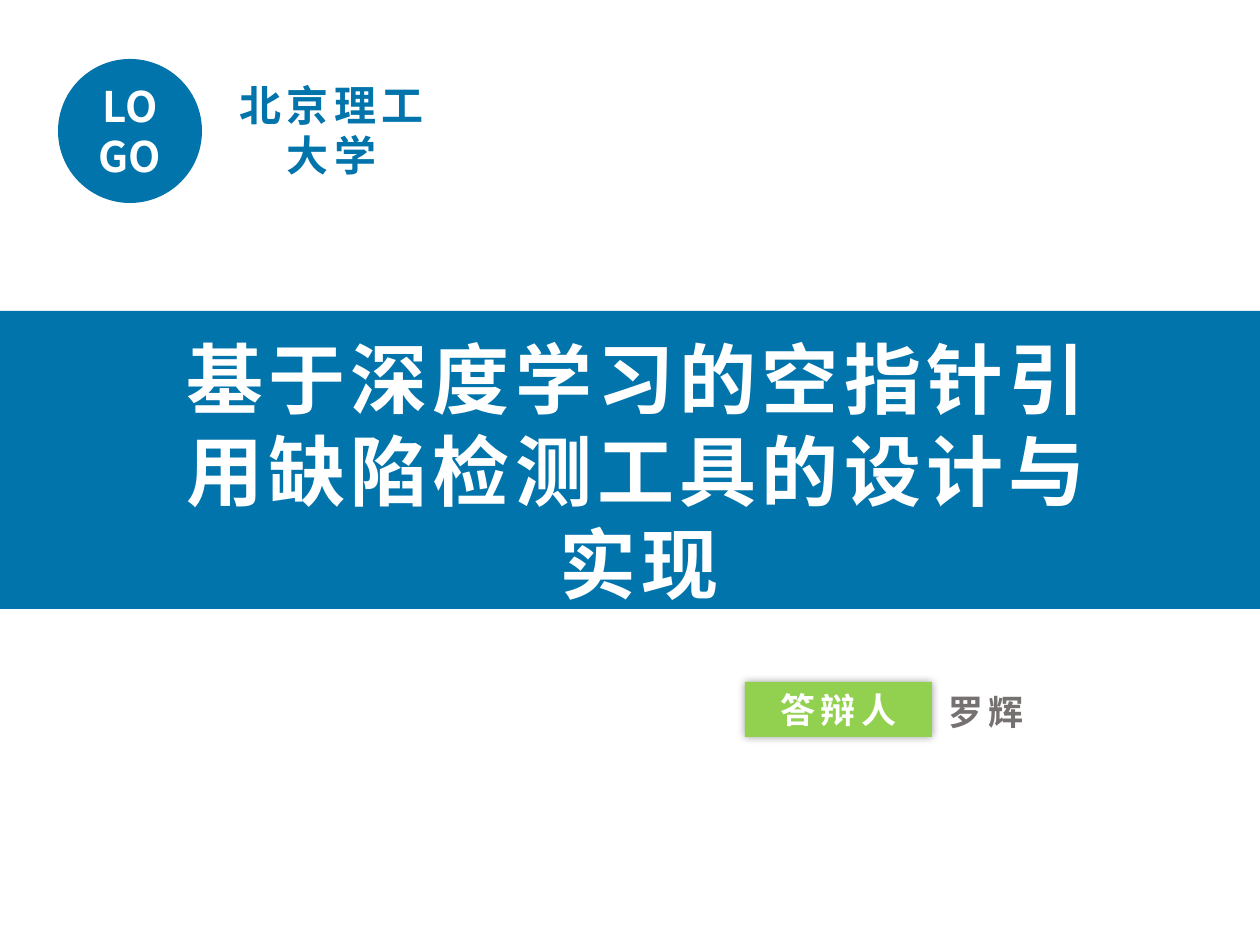
import pptx
import pptx.dml.color
import pptx.enum.shapes
import pptx.enum.text
import pptx.oxml
import pptx.oxml.ns
import pptx.util

SHAPE = pptx.enum.shapes.MSO_SHAPE
ALIGN = pptx.enum.text.PP_ALIGN
ANCHOR = pptx.enum.text.MSO_ANCHOR
FIT = pptx.enum.text.MSO_AUTO_SIZE

BLUE = pptx.dml.color.RGBColor(0x01, 0x74, 0xAB)
GREEN = pptx.dml.color.RGBColor(0x92, 0xD1, 0x4F)
GREY = pptx.dml.color.RGBColor(0x76, 0x71, 0x71)
WHITE = pptx.dml.color.RGBColor(0xFF, 0xFF, 0xFF)

FONT = "Noto Sans CJK SC"
PX_PER_INCH = 126
TITLE_ONLY = 5


def px(length):
    return pptx.util.Emu(round(length * 914400 / PX_PER_INCH))


def write(shape, lines, size, color, spacing=3, align=ALIGN.CENTER, **frame_format):
    """Fill a shape with bold paragraphs; size and letter spacing are in points."""
    frame = shape.text_frame
    frame.word_wrap = True
    for name, value in frame_format.items():
        setattr(frame, name, value)
    font_format = {"name": FONT, "size": pptx.util.Pt(size), "bold": True}
    for index, line in enumerate(lines):
        para = frame.add_paragraph() if index else frame.paragraphs[0]
        para.alignment = align
        span = para.add_run()
        span.text = line
        for name, value in font_format.items():
            setattr(span.font, name, value)
        span.font.color.rgb = color
        properties = span._r.get_or_add_rPr()
        properties.set("spc", str(spacing * 100))
        east_asian = pptx.oxml.ns.qn("a:ea")
        properties.append(properties.makeelement(east_asian, {"typeface": FONT}))


def add_block(slide, kind, bounds, color):
    block = slide.shapes.add_shape(kind, *map(px, bounds))
    block.shadow.inherit = False
    block.fill.solid()
    block.fill.fore_color.rgb = color
    block.line.fill.background()
    return block


def add_glow_shadow(block):
    """Put a soft black shadow evenly around the block."""
    effects = block.element.spPr.find(pptx.oxml.ns.qn("a:effectLst"))
    effects.append(pptx.oxml.parse_xml(
        f'<a:outerShdw {pptx.oxml.ns.nsdecls("a")} blurRad="63500" dist="0" dir="0" '
        'algn="ctr" rotWithShape="0"><a:srgbClr val="000000">'
        '<a:alpha val="40000"/></a:srgbClr></a:outerShdw>'))


def add_label(slide, bounds, lines, size, color, align=ALIGN.CENTER):
    box = slide.shapes.add_textbox(*map(px, bounds))
    write(box, lines, size, color, align=align, auto_size=FIT.SHAPE_TO_FIT_TEXT)


def place_title(slide, bounds, text):
    """Lay the title placeholder over the shapes drawn so far."""
    title = slide.shapes.title
    title.element.getparent().append(title.element)
    for name, length in zip(("left", "top", "width", "height"), bounds):
        setattr(title, name, px(length))
    write(title, [text], 44, WHITE, vertical_anchor=ANCHOR.TOP,
          auto_size=FIT.SHAPE_TO_FIT_TEXT)


def main():
    deck = pptx.Presentation()
    deck.slide_width, deck.slide_height = px(1260), px(945)
    slide = deck.slides.add_slide(deck.slide_layouts[TITLE_ONLY])

    emblem = add_block(slide, SHAPE.OVAL, (58, 59, 144, 144), BLUE)
    write(emblem, ["LOGO"], 24, WHITE, spacing=0, vertical_anchor=ANCHOR.MIDDLE)
    add_label(slide, (220, 73, 223, 115), ["北京理工", "大学"], 24, BLUE)

    add_block(slide, SHAPE.RECTANGLE, (0, 311, 1260, 298), BLUE)
    place_title(slide, (155, 325, 968, 292),
                "基于深度学习的空指针引用缺陷检测工具的设计与实现")

    speaker_tag = add_block(slide, SHAPE.RECTANGLE, (745, 682, 187, 55), GREEN)
    add_glow_shadow(speaker_tag)
    write(speaker_tag, ["答辩人"], 20, WHITE, vertical_anchor=ANCHOR.MIDDLE)
    add_label(slide, (936, 684, 223, 55), ["罗辉"], 20, GREY, align=ALIGN.LEFT)

    deck.save("out.pptx")


if __name__ == "__main__":
    main()
